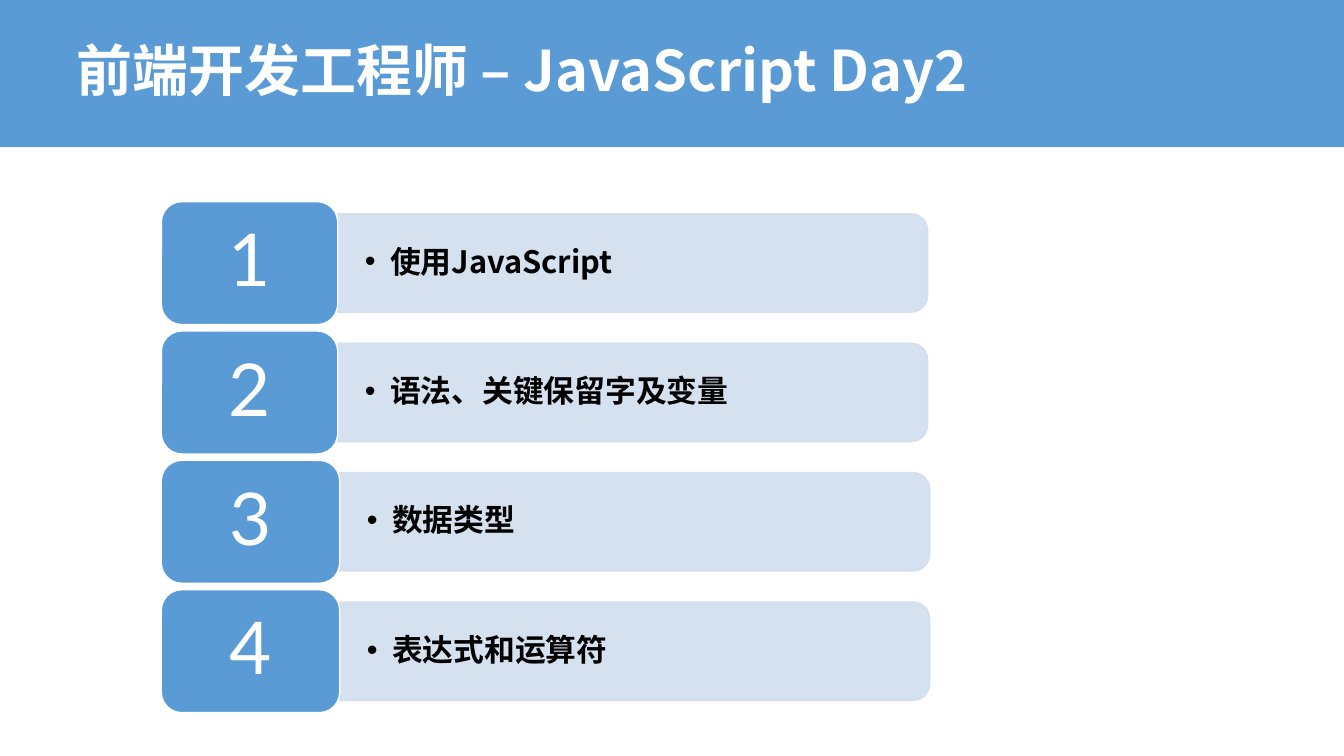
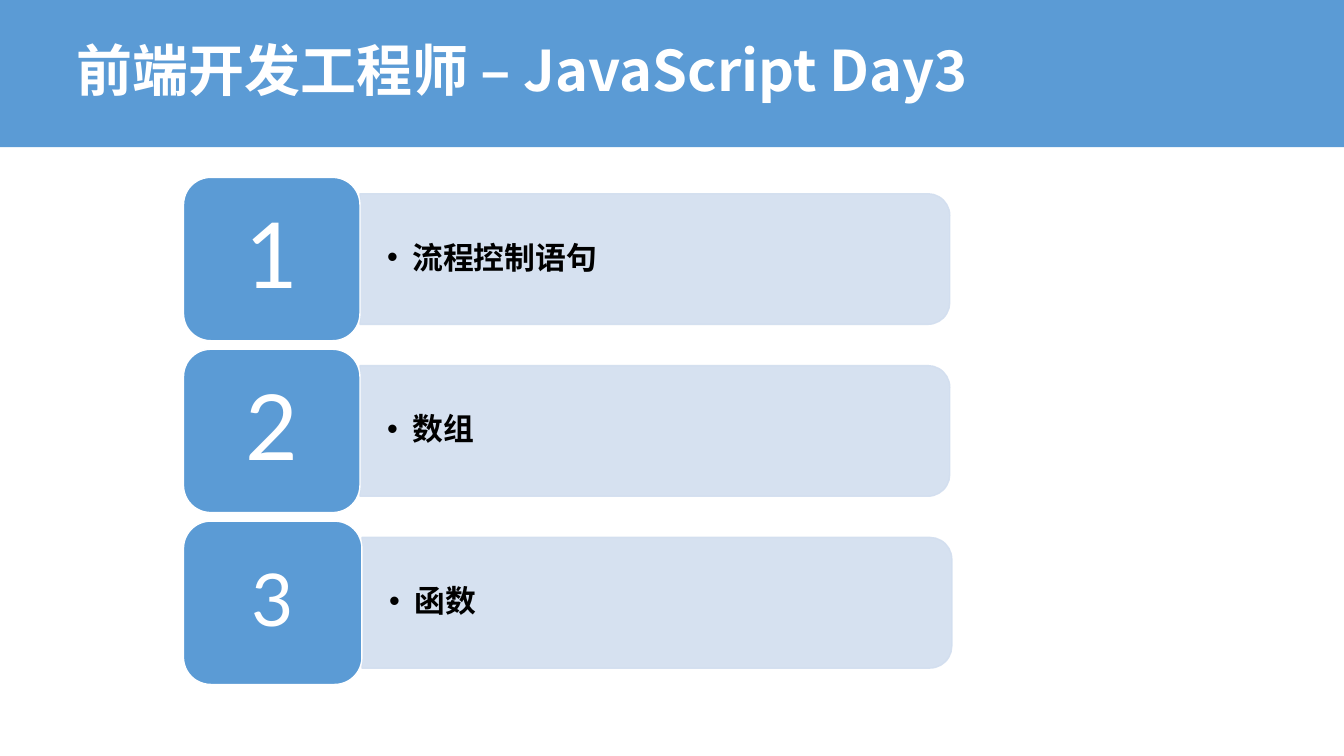
from lxml import etree
from pptx import Presentation
from pptx import util as u
from pptx.dml.color import RGBColor
from pptx.enum import shapes, text
from pptx.oxml.ns import qn

BLUE, PALE, WHITE, BLACK = "5B9BD5", "D2DEEF", "FFFFFF", "000000"
HEADING_FONT, NUMBER_FONT = "Noto Sans CJK SC", "Lato"
SLIDE_WIDTH, BAND_HEIGHT = 13.33, 1.46
BAR_WIDTH, BAR_RATIO = 5.85, 0.8


def color(value):
    return RGBColor.from_string(value)


def set_opacity(shape_properties, percent):
    """Make every solid fill of a shape and its outline partly transparent."""
    for solid in shape_properties.iter(qn("a:solidFill")):
        etree.SubElement(solid[0], qn("a:alpha"), val=str(percent * 1000))


class AgendaDeck:
    """Holds the shared style and the slide being built."""

    def __init__(self):
        self.deck = Presentation()
        self.deck.slide_width = u.Inches(SLIDE_WIDTH)
        self.deck.slide_height = u.Inches(7.5)
        self.page = None

    def new_page(self, title):
        self.page = self.deck.slides.add_slide(self.deck.slide_layouts[6])
        self.shape(shapes.MSO_SHAPE.RECTANGLE, 0, 0, SLIDE_WIDTH, BAND_HEIGHT, BLUE)
        box = self.text_box(0.66, 0, 11.76, BAND_HEIGHT)
        self.set_text(box, title, 40, HEADING_FONT, WHITE, bold=True)

    def shape(self, kind, left, top, width, height, fill, line=None):
        box = self.page.shapes.add_shape(
            kind, *map(u.Inches, (left, top, width, height)))
        box.shadow.inherit = False
        box.fill.solid()
        box.fill.fore_color.rgb = color(fill)
        if line:
            box.line.color.rgb = color(line)
            box.line.width = u.Pt(1)
        else:
            box.line.fill.background()
        return box

    def text_box(self, left, top, width, height):
        return self.page.shapes.add_textbox(
            *map(u.Inches, (left, top, width, height)))

    def set_text(self, box, words, size, font, ink, bold=False,
                 inset=(0.1, 0.05), align=text.PP_ALIGN.LEFT):
        """Fill a box with one styled, vertically centred paragraph."""
        frame = box.text_frame
        frame.text = words
        frame.word_wrap = True
        frame.vertical_anchor = text.MSO_ANCHOR.MIDDLE
        frame.margin_left = frame.margin_right = u.Inches(inset[0])
        frame.margin_top = frame.margin_bottom = u.Inches(inset[1])
        para = frame.paragraphs[0]
        para.alignment = align
        para.line_spacing = 0.9
        span = para.runs[0]
        span.font.size = u.Pt(size)
        span.font.bold = bold
        span.font.color.rgb = color(ink)
        span.font.name = font
        etree.SubElement(span._r.get_or_add_rPr(), qn("a:ea"), typeface=font)
        return para

    def bar(self, left, middle, height):
        """Draw a pale bar whose right-hand corners are rounded."""
        box = self.shape(shapes.MSO_SHAPE.ROUND_2_SAME_RECTANGLE,
                         left + (BAR_WIDTH - height) / 2, middle - BAR_WIDTH / 2,
                         height, BAR_WIDTH, PALE, PALE)
        box.rotation = 90
        set_opacity(box._element.spPr, 90)

    def bullet_label(self, words, left, middle, height):
        box = self.text_box(left, middle - height / 2, BAR_WIDTH - 0.05, height)
        para = self.set_text(box, words, 22, HEADING_FONT, BLACK, bold=True,
                             inset=(0.27, 0.14))
        properties = para._p.get_or_add_pPr()
        properties.set("marL", str(u.Inches(0.25)))
        properties.set("indent", str(u.Inches(-0.25)))
        etree.SubElement(properties, qn("a:buFont"), typeface="Arial")
        etree.SubElement(properties, qn("a:buChar"), char="•")

    def number_tile(self, number, left, top, width, height, size):
        box = self.shape(shapes.MSO_SHAPE.ROUNDED_RECTANGLE,
                         left, top, width, height, BLUE, WHITE)
        self.set_text(box, str(number), size, NUMBER_FONT, WHITE,
                      align=text.PP_ALIGN.CENTER)

    def agenda(self, topics, left, first_top, last_top, height):
        """Spread numbered topics, given as (label, number size), evenly."""
        pitch = (last_top - first_top) / (len(topics) - 1)
        for index, (label, size) in enumerate(topics):
            top = first_top + index * pitch
            middle = top + height / 2
            width = 1.75 if index < 2 else 1.77
            bar_height = height * BAR_RATIO
            self.bar(left + width, middle, bar_height)
            self.bullet_label(label, left + width, middle, bar_height * 0.9)
            self.number_tile(index + 1, left, top, width, height, size)


def main():
    course = AgendaDeck()
    course.new_page("前端开发工程师 – JavaScript Day2")
    course.agenda([("使用JavaScript", 52), ("语法、关键保留字及变量", 52),
                   ("数据类型", 52), ("表达式和运算符", 52)],
                  left=1.6, first_top=2, last_top=5.85, height=1.22)
    course.new_page("前端开发工程师 – JavaScript Day3")
    course.agenda([("流程控制语句", 65), ("数组", 65), ("函数", 52)],
                  left=1.82, first_top=1.76, last_top=5.17, height=1.62)
    course.deck.save("out.pptx")


if __name__ == "__main__":
    main()
